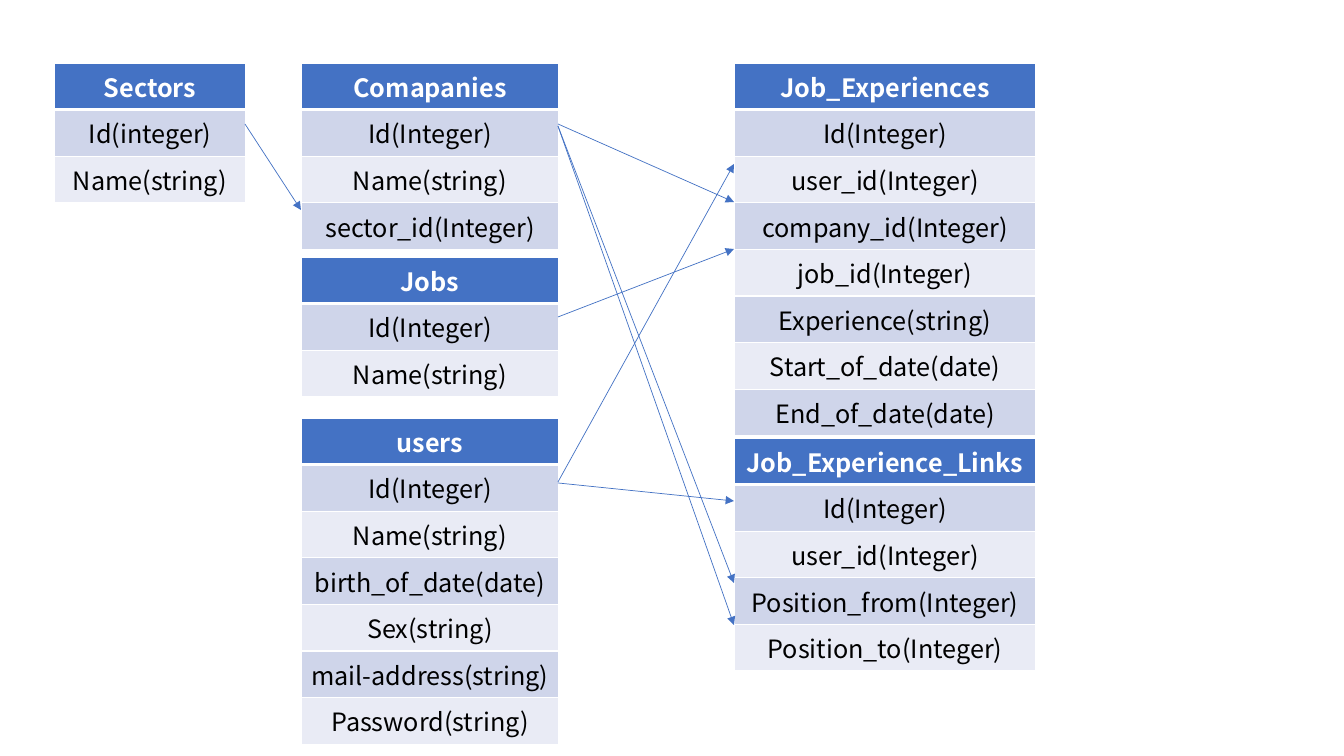
from lxml import etree
from pptx import Presentation
from pptx.dml.color import RGBColor
from pptx.enum.shapes import MSO_CONNECTOR
from pptx.enum.text import PP_ALIGN
from pptx.oxml.ns import qn
from pptx.util import Pt

STRAIGHT = MSO_CONNECTOR.STRAIGHT
CENTER = PP_ALIGN.CENTER
SCALE = 914400 / 100.8
ROW_HEIGHT = 41
FONT = "Noto Sans CJK JP"
COLORS = {
    "header": "4472C4",
    "odd": "CFD5EA",
    "even": "E9EBF5",
    "white": "FFFFFF",
    "black": "000000",
    "arrow": "4472C4",
}


def emu(pixels):
    return round(pixels * SCALE)


def add_border(cell, position, side, points):
    line = etree.Element(qn("a:ln" + side), w=str(Pt(points)))
    fill = etree.SubElement(line, qn("a:solidFill"))
    etree.SubElement(fill, qn("a:srgbClr"), val=COLORS["white"])
    cell._tc.get_or_add_tcPr().insert(position, line)


deck = Presentation()
deck.slide_width = emu(1344)
deck.slide_height = emu(756)
page = deck.slides.add_slide(deck.slide_layouts[6])

entities = [
    (54, 63, 192, ["Sectors", "Id(integer)", "Name(string)"]),
    (301, 63, 258, ["Comapanies", "Id(Integer)", "Name(string)", "sector_id(Integer)"]),
    (301, 257, 258, ["Jobs", "Id(Integer)", "Name(string)"]),
    (301, 418, 258, ["users", "Id(Integer)", "Name(string)", "birth_of_date(date)",
                     "Sex(string)", "mail-address(string)", "Password(string)"]),
    (734, 63, 302, ["Job_Experiences", "Id(Integer)", "user_id(Integer)",
                    "company_id(Integer)", "job_id(Integer)", "Experience(string)",
                    "Start_of_date(date)", "End_of_date(date)"]),
    (734, 438, 302, ["Job_Experience_Links", "Id(Integer)", "user_id(Integer)",
                     "Position_from(Integer)", "Position_to(Integer)"]),
]
for left, top, width, names in entities:
    frame = page.shapes.add_table(
        len(names), 1, emu(left), emu(top), emu(width), emu(ROW_HEIGHT * len(names)))
    table = frame.table
    table.horz_banding = False
    for index, name in enumerate(names):
        table.rows[index].height = emu(ROW_HEIGHT)
        is_header = index == 0
        fill_name = "header" if is_header else "odd" if index % 2 else "even"
        cell = table.cell(index, 0)
        cell.fill.solid()
        cell.fill.fore_color.rgb = RGBColor.from_string(COLORS[fill_name])
        widths = {"L": 1, "R": 1, "T": 3 if index == 1 else 1, "B": 3 if is_header else 1}
        for position, (side, points) in enumerate(widths.items()):
            add_border(cell, position, side, points)
        para = cell.text_frame.paragraphs[0]
        para.alignment = CENTER
        span = para.add_run()
        span.text = name
        text_format = {"name": FONT, "size": Pt(18), "bold": is_header}
        for attribute, value in text_format.items():
            setattr(span.font, attribute, value)
        text_color = COLORS["white" if is_header else "black"]
        span.font.color.rgb = RGBColor.from_string(text_color)

relations = [
    (245, 124, 301, 210),
    (558, 124, 734, 202),
    (558, 126, 734, 583),
    (558, 126, 734, 625),
    (558, 317, 734, 249),
    (558, 483, 734, 501),
    (558, 482, 734, 164),
]
for ends in relations:
    arrow = page.shapes.add_connector(STRAIGHT, *map(emu, ends))
    arrow.line.width = Pt(0.5)
    arrow.line.color.rgb = RGBColor.from_string(COLORS["arrow"])
    etree.SubElement(arrow.line._get_or_add_ln(), qn("a:tailEnd"), type="triangle")
    etree.SubElement(arrow._element.spPr, qn("a:effectLst"))

deck.save("out.pptx")
